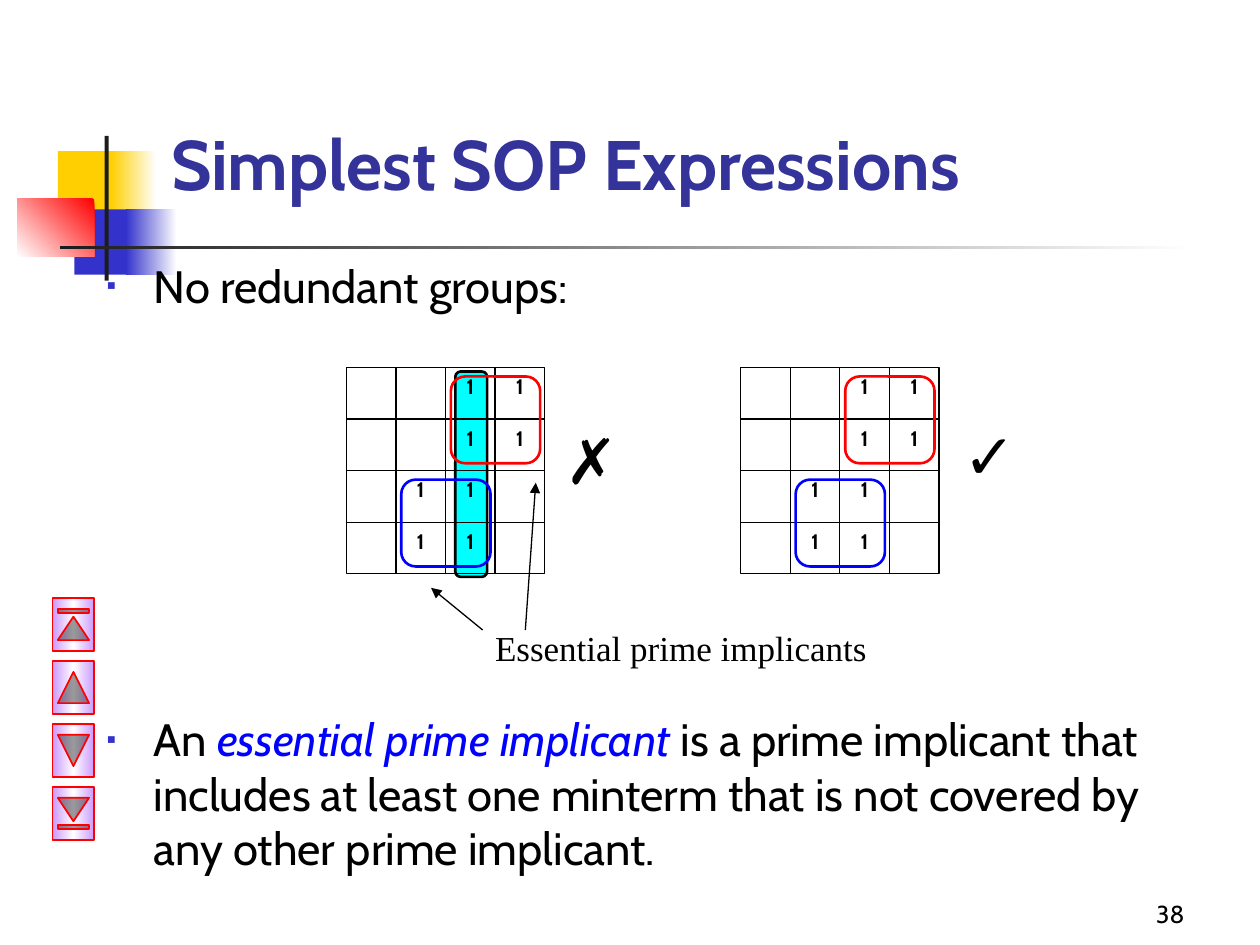
from lxml import etree
from pptx import Presentation
from pptx.dml.color import RGBColor
from pptx.enum.shapes import MSO_CONNECTOR, MSO_SHAPE
from pptx.enum.text import MSO_ANCHOR, PP_ALIGN
from pptx.oxml.ns import qn
from pptx.util import Cm, Pt

RECT = MSO_SHAPE.RECTANGLE
ROUNDED = MSO_SHAPE.ROUNDED_RECTANGLE
STRAIGHT = MSO_CONNECTOR.STRAIGHT
TOP, BOTTOM = MSO_ANCHOR.TOP, MSO_ANCHOR.BOTTOM
LEFT, CENTER, RIGHT = PP_ALIGN.LEFT, PP_ALIGN.CENTER, PP_ALIGN.RIGHT

BLACK = RGBColor(0x00, 0x00, 0x00)
WHITE = RGBColor(0xFF, 0xFF, 0xFF)
CHARCOAL = RGBColor(0x1C, 0x1C, 0x1C)
YELLOW = RGBColor(0xFF, 0xCF, 0x01)
INDIGO = RGBColor(0x33, 0x33, 0xCC)
TITLE_BLUE = RGBColor(0x33, 0x33, 0x99)
RED = RGBColor(0xFF, 0x00, 0x00)
BLUE = RGBColor(0x00, 0x00, 0xFF)
CYAN = RGBColor(0x00, 0xFF, 0xFF)
LILAC = RGBColor(0xCC, 0x99, 0xFF)

# Karnaugh map geometry, in centimetres
CELL_WIDTH, CELL_HEIGHT, MAP_SIZE = 1.0, 1.04, 4
MAP_TOP = 7.41
ONES = [(0, 2), (0, 3), (1, 2), (1, 3), (2, 1), (2, 2), (3, 1), (3, 2)]
GROUPS = [(2, 1, BLUE), (0, 2, RED)]


def add_element(parent, tag, **attributes):
    element = etree.SubElement(parent, qn(tag))
    for name, value in attributes.items():
        element.set(name, str(value))
    return element


def set_gradient(shape, colors, angle):
    """Spread the colours evenly; the angle runs clockwise."""
    shape.fill.gradient()
    shape.fill.gradient_angle = (360 - angle) % 360
    stops = shape.fill._fill._gradFill.find(qn("a:gsLst"))
    for stop in list(stops):
        stops.remove(stop)
    for index, color in enumerate(colors):
        stop = add_element(stops, "a:gs", pos=100000 * index // (len(colors) - 1))
        add_element(stop, "a:srgbClr", val=color)


def add_shape(shapes, kind, bounds, fill=None, line=None, width=0.75, angle=180):
    """A list of colours as fill makes a gradient."""
    shape = shapes.add_shape(kind, *map(Cm, bounds))
    shape.shadow.inherit = False
    if fill is None:
        shape.fill.background()
    elif isinstance(fill, list):
        set_gradient(shape, fill, angle)
    else:
        shape.fill.solid()
        shape.fill.fore_color.rgb = fill
    if line is None:
        shape.line.fill.background()
    else:
        shape.line.color.rgb = line
        shape.line.width = Pt(width)
    return shape


def add_line(shapes, start, end, arrow=False):
    line = shapes.add_connector(STRAIGHT, *map(Cm, start + end))
    line.line.color.rgb = BLACK
    line.line.width = Pt(0.75)
    if arrow:
        add_element(line.line._get_or_add_ln(), "a:tailEnd", type="triangle")
    add_element(line._element.spPr, "a:effectLst")


def set_font(para, size, name, color=BLACK, bold=False):
    font = para.font
    font.size, font.name, font.bold = Pt(size), name, bold
    font.color.rgb = color


def add_box(shapes, bounds, anchor=TOP):
    box = shapes.add_textbox(*map(Cm, bounds))
    box.text_frame.word_wrap = True
    box.text_frame.vertical_anchor = anchor
    return box.text_frame


def add_text(shapes, bounds, text, size, name="Cabin", color=BLACK, bold=False,
             align=LEFT, anchor=TOP):
    para = add_box(shapes, bounds, anchor).paragraphs[0]
    para.text = text
    para.alignment = align
    set_font(para, size, name, color, bold)


def add_bullet(para, spans):
    properties = para._p.get_or_add_pPr()
    properties.set("marL", str(Cm(0.95)))
    properties.set("indent", str(-Cm(0.95)))
    add_element(add_element(properties, "a:buClr"), "a:srgbClr", val=INDIGO)
    add_element(properties, "a:buSzPct", val=60000)
    add_element(properties, "a:buFont", typeface="Arial")
    add_element(properties, "a:buChar", char="▪")
    para.space_after = Pt(18)
    set_font(para, 25.9, "Cabin")
    for text, color, italic in spans:
        span = para.add_run()
        span.text = text
        span.font.color.rgb = color
        span.font.italic = italic


def add_ornament(shapes):
    add_shape(shapes, RECT, (1.17, 3.05, 1.22, 1.32), YELLOW)
    add_shape(shapes, RECT, (2.24, 3.05, 0.91, 1.32), [WHITE, YELLOW])
    add_shape(shapes, RECT, (1.5, 4.22, 1.17, 1.32), INDIGO)
    add_shape(shapes, RECT, (2.54, 4.22, 1.02, 1.32), [WHITE, INDIGO])
    add_shape(shapes, RECT, (0.35, 4.01, 1.55, 1.17), [RED, WHITE], angle=135)
    add_shape(shapes, RECT, (2.11, 2.74, 0.08, 2.92), CHARCOAL)
    add_shape(shapes, RECT, (1.22, 4.95, 22.86, 0.08), [WHITE, CHARCOAL])


def add_map(shapes, left, mark, mark_bounds, redundant=False):
    width, height = MAP_SIZE * CELL_WIDTH, MAP_SIZE * CELL_HEIGHT
    right, bottom = left + width, MAP_TOP + height
    # Redundant group, behind the grid
    if redundant:
        add_shape(shapes, ROUNDED, (left + 2.2, MAP_TOP + 0.08, 0.64, 4.14),
                  CYAN, BLACK, 1.5)
    # Grid
    add_shape(shapes, RECT, (left, MAP_TOP, width, height), line=BLACK)
    for index in range(1, MAP_SIZE):
        x, y = left + index * CELL_WIDTH, MAP_TOP + index * CELL_HEIGHT
        add_line(shapes, (left, y), (right, y))
        add_line(shapes, (x, MAP_TOP), (x, bottom))
    # Minterms
    for row, column in ONES:
        bounds = (left + column * CELL_WIDTH, MAP_TOP + row * CELL_HEIGHT,
                  CELL_WIDTH, CELL_HEIGHT)
        add_text(shapes, bounds, "1", 12, bold=True, align=CENTER)
    # Essential groups
    for row, column, color in GROUPS:
        bounds = (left + column * CELL_WIDTH + 0.11,
                  MAP_TOP + row * CELL_HEIGHT + 0.18, 1.8, 1.75)
        add_shape(shapes, ROUNDED, bounds, line=color, width=1.5)
    add_text(shapes, mark_bounds, mark, 36, "Arial")


def add_buttons(shapes):
    kinds = [MSO_SHAPE.ACTION_BUTTON_BEGINNING,
             MSO_SHAPE.ACTION_BUTTON_BACK_OR_PREVIOUS,
             MSO_SHAPE.ACTION_BUTTON_FORWARD_OR_NEXT,
             MSO_SHAPE.ACTION_BUTTON_END]
    for index, kind in enumerate(kinds):
        button = add_shape(shapes, kind, (0.95, 12.17 + 1.27 * index, 1.06, 0.84),
                           [LILAC, WHITE, LILAC], RED, 1, angle=90)
        button.rotation = 90


def main():
    deck = Presentation()
    deck.slide_width, deck.slide_height = Cm(25.4), Cm(19.05)
    shapes = deck.slides.add_slide(deck.slide_layouts[6]).shapes
    add_ornament(shapes)

    # Title and body
    add_text(shapes, (3.2, 1.07, 21.64, 3.18), "Simplest SOP Expressions", 40,
             color=TITLE_BLUE, bold=True, anchor=BOTTOM)
    body = add_box(shapes, (1.9, 5.08, 22.71, 13.13))
    add_bullet(body.paragraphs[0], [("No redundant groups:", BLACK, False)])
    definition = body.add_paragraph()
    add_bullet(definition, [
        ("An ", BLACK, False),
        ("essential prime implicant", BLUE, True),
        (" is a prime implicant that includes at least one minterm that is not "
         "covered by any other prime implicant.", BLACK, False)])
    definition.space_before = Pt(210)

    # Karnaugh maps: minimal on the right, redundant on the left
    maps = shapes.add_group_shape().shapes
    add_map(maps, 14.93, "✓", (19.18, 8.28, 1.98, 2.41))
    add_map(maps, 6.98, "✗", (11.15, 8.38, 2.01, 2.41), redundant=True)

    add_buttons(shapes)

    # Arrows and their label
    notes = shapes.add_group_shape().shapes
    add_line(notes, (10.59, 12.7), (10.8, 9.73), arrow=True)
    add_line(notes, (9.73, 12.7), (8.69, 11.85), arrow=True)
    add_text(notes, (9.73, 12.5, 9.32, 1.12), "Essential prime implicants", 20,
             "Times New Roman")

    # Page number
    add_text(shapes, (18.85, 17.58, 5.28, 1.27), "38", 14, align=RIGHT, anchor=BOTTOM)
    deck.save("out.pptx")


if __name__ == "__main__":
    main()
